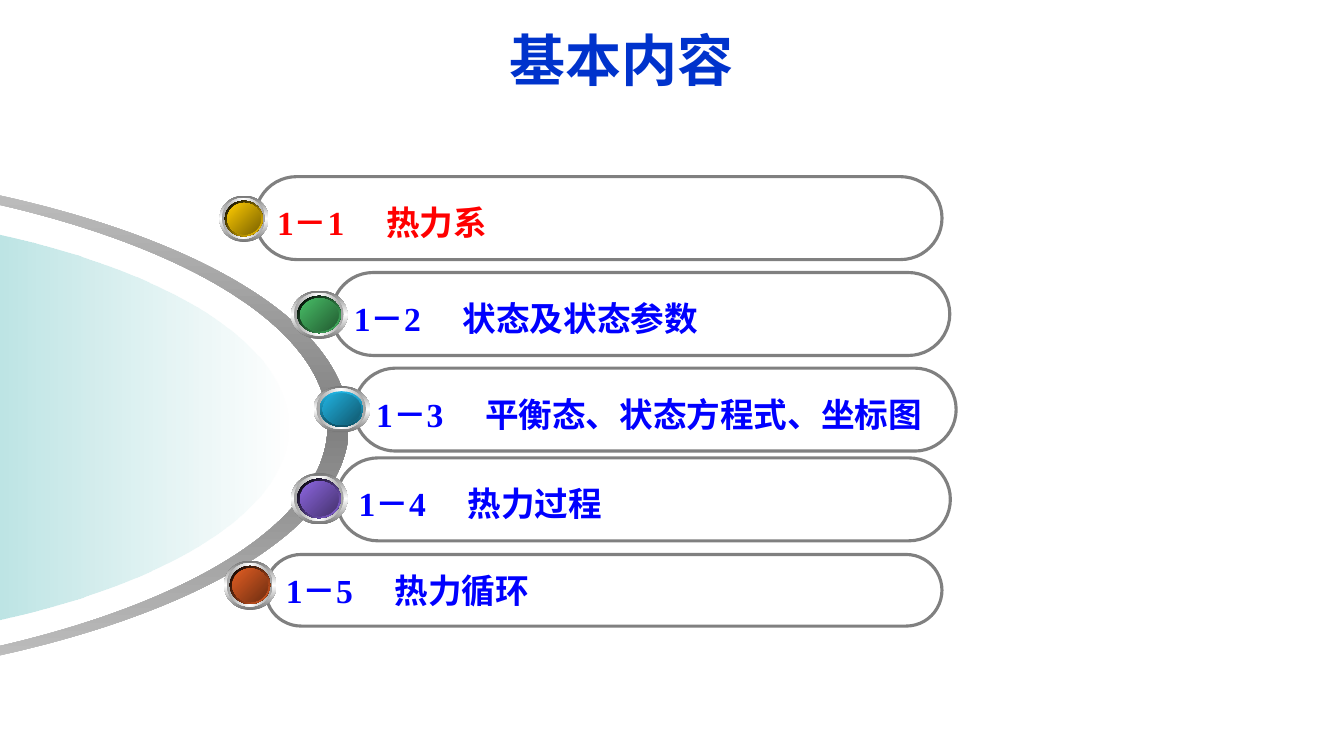
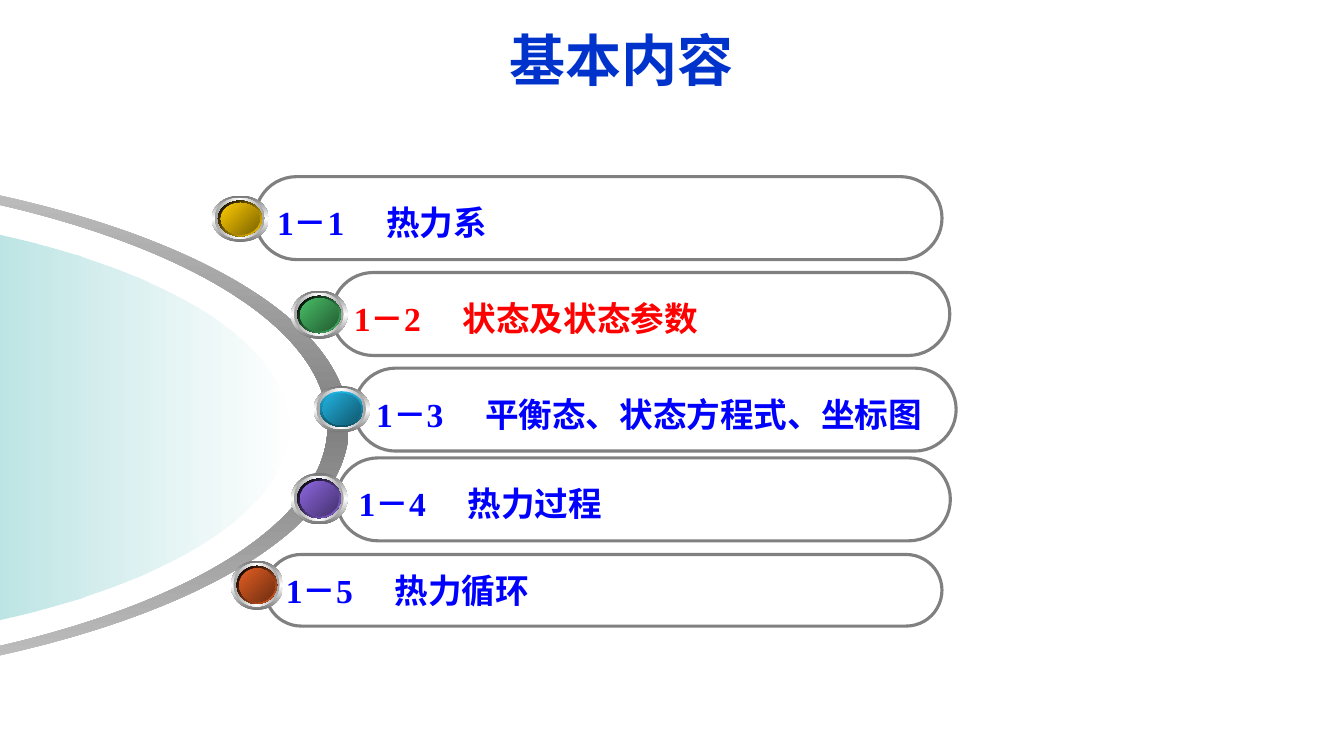
from dataclasses import dataclass

from lxml import etree
from pptx import Presentation
from pptx.dml.color import RGBColor
from pptx.enum.shapes import MSO_SHAPE
from pptx.enum.text import MSO_ANCHOR, MSO_AUTO_SIZE, PP_ALIGN
from pptx.oxml.ns import qn
from pptx.util import Inches, Pt

PILL = MSO_SHAPE.ROUNDED_RECTANGLE
OVAL = MSO_SHAPE.OVAL
MIDDLE, BOTTOM = MSO_ANCHOR.MIDDLE, MSO_ANCHOR.BOTTOM
LEFT, CENTER = PP_ALIGN.LEFT, PP_ALIGN.CENTER
NO_AUTOFIT = MSO_AUTO_SIZE.NONE

WIDTH, HEIGHT = Inches(13.33), Inches(7.5)
SLIDE_BOX = (0, 0, WIDTH, HEIGHT)
TITLE_BLUE, TEXT_BLUE, CURRENT_RED = "0033CC", "0000FF", "FF0000"
OUTLINE_GRAY, BLACK = "808080", "000000"
ARC_GRADIENT = ("C5C5C5", "808080", "C5C5C5")
DOME_GRADIENT = ("009999", "FFFFFF")
DOME_OPACITY = (56, 48)
RIM_GRADIENT = ("767676", "FFFFFF", "767676")
BEVEL_GRADIENT = ("A2A2A2", "FFFFFF", "A2A2A2")
TITLE_AREA = (13.95, 2.67, 64.55, 10.27)
NUMBER_WIDTH = Inches(1.08)
CURVE = 0.55


@dataclass
class Section:
    number: str
    topic: str
    pill: tuple
    button: tuple
    face: tuple
    socket: tuple
    socket_angle: int = 45
    line_spacing: float = 1.2


SECTIONS = [
    Section("1－1", "热力系", (18.98, 23.37, 51.11, 10.97),
            (16.33, 25.87, 3.66, 6.13), ("FFCC00", "7C6300"), (BLACK, "FFCC00")),
    Section("1－2", "状态及状态参数", (24.68, 36.05, 45.99, 10.97),
            (21.66, 38.43, 4.2, 6.4), ("48BE67", "235C32"), (BLACK, "48BE67")),
    Section("1－3", "平衡态、状态方程式、坐标图", (26.35, 48.7, 44.79, 10.97),
            (23.33, 51.07, 4.2, 6.13), ("21B3E1", "10576D"), ("21B3E1", "0F5368"), 90),
    Section("1－4", "热力过程", (25.04, 60.57, 45.67, 10.97),
            (21.66, 62.57, 4.2, 6.8), ("8D67E1", "45326D"), (BLACK, "8D67E1")),
    Section("1－5", "热力循环", (19.75, 73.35, 50.34, 9.47),
            (16.67, 74.15, 3.9, 6.53), ("E35E23", "6E2E11"), (BLACK, "E35E23"),
            line_spacing=1.0),
]

AGENDAS = [
    ("1－1", {}),
    ("1－2", {"1－1": (15.75, 25.87, 4.26, 6.13), "1－5": (17.18, 74.15, 3.9, 6.53)}),
]


def rgb(value):
    return RGBColor.from_string(value)


def within(box, area):
    left, top, width, height = box
    x, y, w, h = (share / 100 for share in area)
    return (round(left + x * width), round(top + y * height),
            round(w * width), round(h * height))


def paint_gradient(shape, colors, angle, opacity=None):
    shape.shadow.inherit = False
    shape.line.fill.background()
    shape.fill.background()
    gradient = etree.Element(qn("a:gradFill"), rotWithShape="1")
    stops = etree.SubElement(gradient, qn("a:gsLst"))
    for index, color in enumerate(colors):
        position = index * 100000 // (len(colors) - 1)
        stop = etree.SubElement(stops, qn("a:gs"), pos=str(position))
        tone = etree.SubElement(stop, qn("a:srgbClr"), val=color)
        if opacity:
            etree.SubElement(tone, qn("a:alpha"), val=str(opacity[index] * 1000))
    etree.SubElement(gradient, qn("a:lin"), ang=str(angle * 60000), scaled="0")
    properties = shape.element.spPr
    properties.replace(properties.find(qn("a:noFill")), gradient)


def add_text(paragraph, text, font_name, size, color):
    run = paragraph.add_run()
    run.text = text
    run.font.name = font_name
    run.font.size = Pt(size)
    run.font.bold = True
    run.font.color.rgb = rgb(color)


def place_title(slide, box, text):
    title = slide.shapes.title
    title.left, title.top, title.width, title.height = within(box, TITLE_AREA)
    frame = title.text_frame
    frame.auto_size = NO_AUTOFIT
    frame.word_wrap = True
    frame.vertical_anchor = BOTTOM
    paragraph = frame.paragraphs[0]
    paragraph.alignment = CENTER
    add_text(paragraph, text, "Arial", 40, TITLE_BLUE)


def half_ellipse(box, left, middle, radius_x, radius_y):
    shares = [
        (0, -1), (CURVE, -1), (1, -CURVE), (1, 0),
        (1, CURVE), (CURVE, 1), (0, 1),
    ]
    return [within(box, (left + x * radius_x, middle + y * radius_y, 0, 0))[:2]
            for x, y in shares]


def add_curved_outline(slide, points, segment_sizes):
    builder = slide.shapes.build_freeform(*points[0])
    builder.add_line_segments(points[1:], close=True)
    outline = builder.convert_to_shape()
    lines = iter(list(outline.element.iter(qn("a:lnTo"))))
    for size in segment_sizes:
        segment = [next(lines) for _ in range(size)]
        if size == 3:
            bend = etree.Element(qn("a:cubicBezTo"))
            segment[0].addprevious(bend)
            for line in segment:
                bend.append(line[0])
                line.getparent().remove(line)
    return outline


def add_dome(slide, box):
    outer = half_ellipse(box, -26.18, 56.27, 52.14, 35.2)
    inner = half_ellipse(box, -26.18, 56.27, 50.56, 34.13)
    arc = add_curved_outline(slide, inner + outer[::-1], (3, 3, 1, 3, 3))
    paint_gradient(arc, ARC_GRADIENT, 90)
    core = half_ellipse(box, -21.46, 56.5, 42.91, 29.4)
    dome = add_curved_outline(slide, core, (3, 3))
    paint_gradient(dome, DOME_GRADIENT, 0, DOME_OPACITY)


def add_pill(slide, box, section, color):
    pill = slide.shapes.add_shape(PILL, *within(box, section.pill))
    pill.adjustments[0] = 0.5
    pill.shadow.inherit = False
    pill.fill.background()
    pill.line.color.rgb = rgb(OUTLINE_GRAY)
    pill.line.width = Pt(2.25)
    frame = pill.text_frame
    frame.word_wrap = True
    frame.vertical_anchor = MIDDLE
    paragraph = frame.paragraphs[0]
    tabs = etree.SubElement(paragraph._p.get_or_add_pPr(), qn("a:tabLst"))
    etree.SubElement(tabs, qn("a:tab"), pos=str(NUMBER_WIDTH), algn="l")
    paragraph.alignment = LEFT
    paragraph.line_spacing = section.line_spacing
    add_text(paragraph, f"{section.number}\t{section.topic}",
             "Times New Roman", 24, color)


def add_button(slide, box, section):
    layers = [
        (0, 100, RIM_GRADIENT, 90),
        (5, 88, BEVEL_GRADIENT, 0),
        (11, 77, section.socket, section.socket_angle),
        (16, 68, section.face, 45),
    ]
    button = slide.shapes.add_group_shape()
    for inset, size, colors, angle in layers:
        layer = button.shapes.add_shape(OVAL, *within(box, (inset, inset, size, size)))
        paint_gradient(layer, colors, angle)


def build_agenda(presentation, current, moved_buttons):
    slide = presentation.slides.add_slide(presentation.slide_layouts[5])
    place_title(slide, SLIDE_BOX, "基本内容")
    add_dome(slide, SLIDE_BOX)
    for section in reversed(SECTIONS):
        color = CURRENT_RED if section.number == current else TEXT_BLUE
        add_pill(slide, SLIDE_BOX, section, color)
    for section in SECTIONS:
        area = moved_buttons.get(section.number, section.button)
        add_button(slide, within(SLIDE_BOX, area), section)


def main():
    presentation = Presentation()
    presentation.slide_width, presentation.slide_height = WIDTH, HEIGHT
    for current, moved_buttons in AGENDAS:
        build_agenda(presentation, current, moved_buttons)
    presentation.save("out.pptx")


if __name__ == "__main__":
    main()
